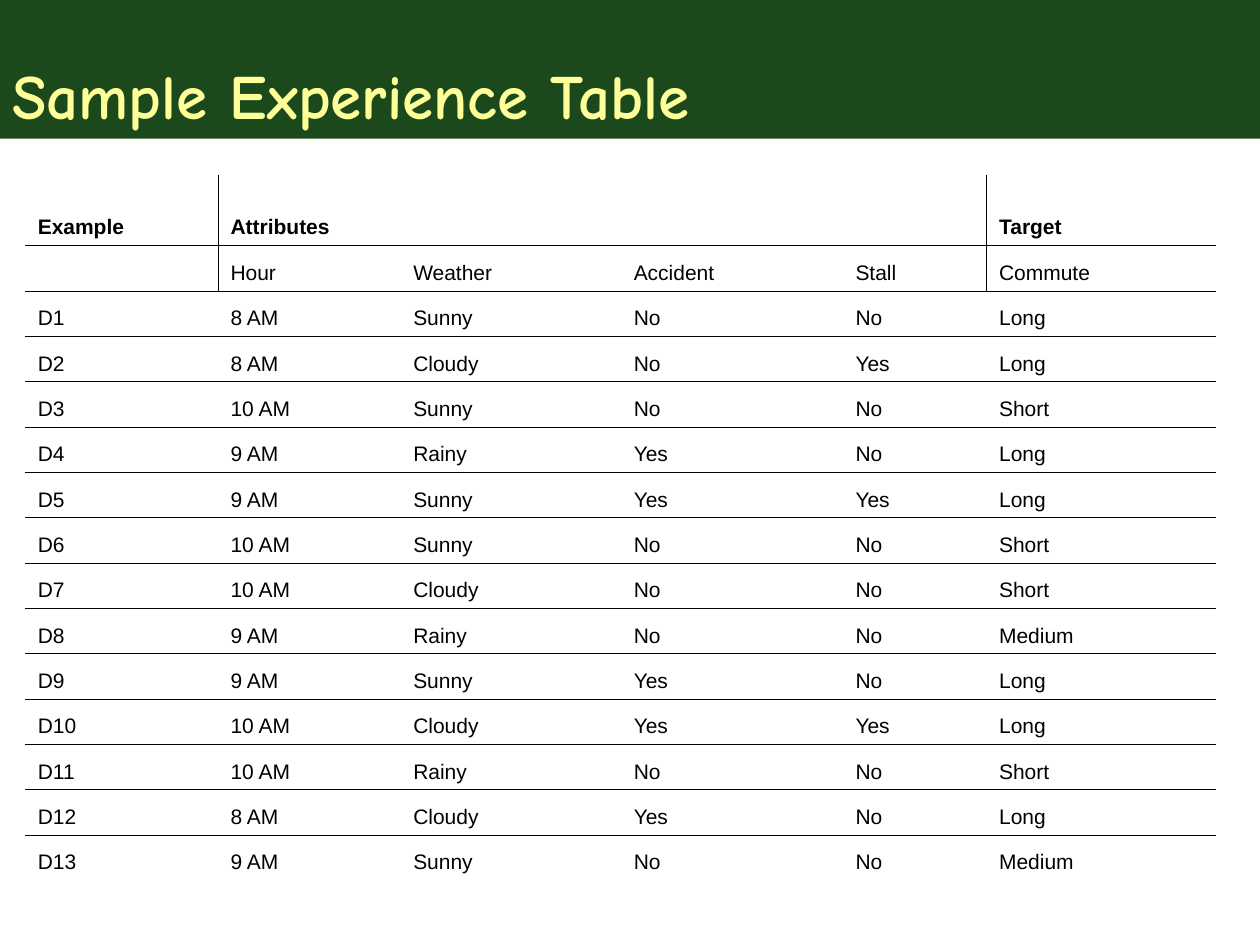
from lxml.etree import SubElement
from pptx import Presentation
from pptx.dml.color import RGBColor
from pptx.enum.shapes import MSO_SHAPE
from pptx.enum.text import MSO_ANCHOR, PP_ALIGN
from pptx.oxml.ns import qn
from pptx.util import Inches, Pt

COLUMN_WIDTHS = [1.53, 1.45, 1.75, 1.76, 1.14, 1.82]
HEADER_HEIGHT, ROW_HEIGHT = 0.56, 0.36
GROUPS = ["Example", "Attributes", "", "", "", "Target"]
FIELDS = ["", "Hour", "Weather", "Accident", "Stall", "Commute"]
EXPERIENCES = [
    ("8 AM", "Sunny", "No", "No", "Long"),
    ("8 AM", "Cloudy", "No", "Yes", "Long"),
    ("10 AM", "Sunny", "No", "No", "Short"),
    ("9 AM", "Rainy", "Yes", "No", "Long"),
    ("9 AM", "Sunny", "Yes", "Yes", "Long"),
    ("10 AM", "Sunny", "No", "No", "Short"),
    ("10 AM", "Cloudy", "No", "No", "Short"),
    ("9 AM", "Rainy", "No", "No", "Medium"),
    ("9 AM", "Sunny", "Yes", "No", "Long"),
    ("10 AM", "Cloudy", "Yes", "Yes", "Long"),
    ("10 AM", "Rainy", "No", "No", "Short"),
    ("8 AM", "Cloudy", "Yes", "No", "Long"),
    ("9 AM", "Sunny", "No", "No", "Medium"),
]


def color(hex_value):
    return RGBColor.from_string(hex_value)


class SlideBuilder:
    title_font, body_font = "Comic Neue", "Arial"
    band, title_ink, ink = "003300", "FFFF99", "000000"
    rule_width = Pt(0.45)

    def __init__(self, slide):
        self.slide = slide

    def format_text(self, para, font, size, hex_value, bold):
        para.alignment = PP_ALIGN.LEFT
        for span in para.runs:
            span.font.name = font
            span.font.size = Pt(size)
            span.font.bold = bold
            span.font.color.rgb = color(hex_value)

    def title_band(self, text, width, height):
        box = self.slide.shapes.add_shape(
            MSO_SHAPE.RECTANGLE, 0, 0, Inches(width), Inches(height))
        box.shadow.inherit = False
        box.line.fill.background()
        box.fill.solid()
        box.fill.fore_color.rgb = color(self.band)
        tint = box.fill._xPr.find(".//" + qn("a:srgbClr"))
        SubElement(tint, qn("a:alpha"), val="89000")
        frame = box.text_frame
        frame.vertical_anchor = MSO_ANCHOR.BOTTOM
        frame.text = text
        self.format_text(frame.paragraphs[0], self.title_font, 36, self.title_ink, True)

    def borders(self, cell, visible_sides):
        properties = cell._tc.get_or_add_tcPr()
        for side in "LRTB":
            line = SubElement(properties, qn(f"a:ln{side}"), w=str(self.rule_width))
            if side in visible_sides:
                fill = SubElement(line, qn("a:solidFill"))
                SubElement(fill, qn("a:srgbClr"), val=self.ink)
            else:
                SubElement(line, qn("a:noFill"))

    def cell(self, cell, text, bold, visible_sides):
        self.borders(cell, visible_sides)
        cell.fill.background()
        cell.vertical_anchor = MSO_ANCHOR.BOTTOM
        para = cell.text_frame.paragraphs[0]
        para.text = text
        self.format_text(para, self.body_font, 12, self.ink, bold)
        para.font.size = Pt(12)
        # Hanging indent
        indent = Inches(0.49)
        para._p.get_or_add_pPr().set("marL", str(indent))
        para._p.get_or_add_pPr().set("indent", str(-indent))

    def table(self, rows, left, top):
        heights = [HEADER_HEIGHT] + [ROW_HEIGHT] * (len(rows) - 1)
        table = self.slide.shapes.add_table(
            len(rows), len(COLUMN_WIDTHS), Inches(left), Inches(top),
            Inches(sum(COLUMN_WIDTHS)), Inches(sum(heights))).table
        table.first_row = table.horz_banding = False
        for column, width in zip(table.columns, COLUMN_WIDTHS):
            column.width = Inches(width)
        for row, height in zip(table.rows, heights):
            row.height = Inches(height)

        for row, values in enumerate(rows):
            for column, text in enumerate(values):
                # Rules between all rows; dividers around the attributes in the header
                sides = "T" * (row > 0) + "B" * (row < len(rows) - 1)
                if row < 2:
                    sides += "R" * (column in (0, 4)) + "L" * (column in (1, 5))
                    # The merged heading carries its right divider itself
                    sides += "R" * (row == 0 and column == 1)
                self.cell(table.cell(row, column), text, row == 0, sides)
        table.cell(0, 1).merge(table.cell(0, 4))


def main():
    deck = Presentation()
    deck.slide_width, deck.slide_height = Inches(10), Inches(7.5)
    page = SlideBuilder(deck.slides.add_slide(deck.slide_layouts[6]))

    # Title
    page.title_band("Sample Experience Table", 10, 1.1)

    # Experience table
    examples = [(f"D{number}", *values) for number, values in enumerate(EXPERIENCES, 1)]
    page.table([GROUPS, FIELDS, *examples], 0.2, 1.39)

    deck.save("out.pptx")


if __name__ == "__main__":
    main()
